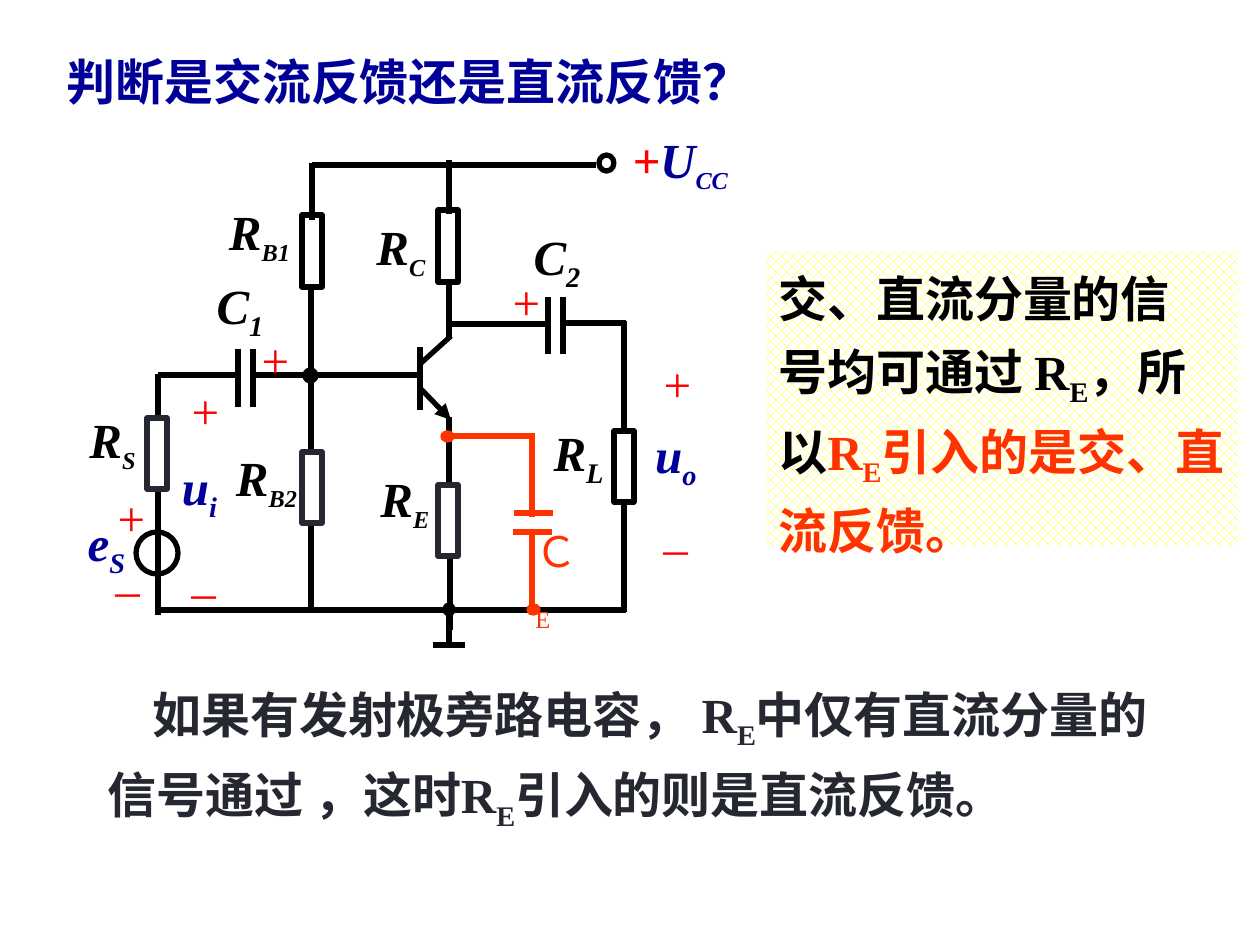
from lxml import etree
from pptx import Presentation
from pptx import util as u
from pptx.dml.color import RGBColor
from pptx.enum import dml, shapes, text
from pptx.oxml.ns import qn

BLACK = RGBColor(0, 0, 0)
SLATE = RGBColor(0x25, 0x27, 0x31)
NAVY = RGBColor(0, 0, 0x99)
RED = RGBColor(0xFF, 0, 0)
ORANGE = RGBColor(0xFF, 0x33, 0)
YELLOW = RGBColor(0xFF, 0xFF, 0)
WHITE = RGBColor(0xFF, 0xFF, 0xFF)
ROMAN, SANS = "Times New Roman", "Noto Sans CJK SC"
SUB = -25000

# Wires: x1, y1, x2, y2 in px
WIRES = [
    # Supply rail and collector branch
    (312, 165, 596, 165), (312, 220, 312, 163), (449, 214, 449, 160),
    (449, 281, 449, 339),
    # Base divider
    (311, 286, 311, 377), (311, 368, 311, 452), (311, 525, 311, 610),
    # Transistor base and collector
    (420, 347, 420, 410), (420, 364, 451, 336),
    # Emitter branch and ground
    (449, 417, 449, 483), (450, 553, 450, 630), (158, 610, 626, 610),
    (449, 611, 449, 646), (433, 645, 465, 645),
    # Input branch with C1
    (158, 375, 237, 375), (238, 349, 238, 407), (253, 349, 253, 407),
    (252, 375, 421, 375), (158, 416, 158, 374), (158, 489, 158, 615),
    # Output branch with C2
    (449, 324, 548, 324), (548, 297, 548, 354), (563, 297, 563, 354),
    (626, 323, 562, 323), (624, 321, 624, 431), (624, 499, 624, 612),
]
EMITTER = (420, 388, 451, 420)
BYPASS = [
    (444, 436, 532, 436), (532, 433, 532, 517), (532, 532, 532, 615),
    (514, 513, 553, 513), (513, 532, 552, 532),
]

# Resistors: x, y, height, colour
RES_W = 20
RESISTORS = [
    (302, 215, 72, BLACK), (438, 210, 72, BLACK), (614, 431, 71, BLACK),
    (302, 452, 71, SLATE), (438, 485, 71, SLATE), (147, 418, 71, SLATE),
]

# Circles: x, y, width, height, fill
CIRCLES = [
    (599, 155, 15, 16, None), (445, 605, 8, 9, None),
    (136, 532, 42, 42, None), (305, 370, 11, 11, BLACK),
]
DOTS = [(527, 604, 13, 11, ORANGE), (441, 431, 13, 11, ORANGE)]

# Labels: x, y, width, letter, subscript, subscript size, colour
LABEL_H = 72
LABELS = [
    (214, 198, 91, "R", "B1", 24, BLACK), (362, 213, 78, "R", "C", 24, BLACK),
    (221, 444, 91, "R", "B2", 24, BLACK), (367, 465, 76, "R", "E", 24, BLACK),
    (76, 406, 73, "R", "S", 24, BLACK), (539, 420, 79, "R", "L", 28, BLACK),
    (203, 273, 74, "C", "1", 28, BLACK), (520, 224, 74, "C", "2", 28, BLACK),
    (168, 454, 63, "u", "i", 28, NAVY), (638, 422, 76, "u", "o", 28, NAVY),
    (63, 510, 87, "e", "S", 28, NAVY),
]
SIGNS = {
    ("+", 53): [(249, 323), (500, 265), (651, 347), (179, 374), (105, 481)],
    ("–", 49): [(651, 510), (179, 554), (103, 552)],
}

# Paragraphs: runs of text, colour, baseline
NOTE = [
    [("交、直流分量的信", BLACK, 0)],
    [("号均可通过 R", BLACK, 0), ("E", BLACK, SUB), ("，所以", BLACK, 0),
     ("R", ORANGE, 0), ("E", ORANGE, SUB), ("引入的是交、直流反馈。", ORANGE, 0)],
]
CLOSE = [
    [("如果有发射极旁路电容， R", SLATE, 0), ("E", SLATE, SUB),
     ("中仅有直流分量的信号通过 ，这时R", SLATE, 0), ("E", SLATE, SUB),
     ("引入的则是直流反馈。", SLATE, 0)],
]


def px(n):
    return u.Emu(round(n * 914400 / 126))


def box(*nums):
    return [px(n) for n in nums]


def wire(group, ends, color, arrow=False):
    line = group.shapes.add_connector(shapes.MSO_CONNECTOR.STRAIGHT, *box(*ends))
    line.line.color.rgb = color
    line.line.width = u.Pt(3)
    if arrow:
        tip = etree.SubElement(line.line._get_or_add_ln(), qn("a:tailEnd"))
        tip.set("type", "triangle")
    etree.SubElement(line._element.spPr, qn("a:effectLst"))


def shape(group, kind, place, color, fill=None, width=3):
    part = group.shapes.add_shape(kind, *box(*place))
    part.shadow.inherit = False
    part.line.color.rgb = color
    part.line.width = u.Pt(width)
    if fill is None:
        part.fill.background()
    else:
        part.fill.solid()
        part.fill.fore_color.rgb = fill


def run(para, words, size, color, base=0, bold=True, ital=False, face=ROMAN):
    r = para.add_run()
    r.text = words
    font = r.font
    font.size, font.bold, font.italic, font.name = u.Pt(size), bold, ital, face
    font.color.rgb = color
    if base:
        font._element.set("baseline", str(base))
    etree.SubElement(font._element, qn("a:ea")).set("typeface", SANS)


def label(place, center=True, wrap=False, mid=True):
    frame = slide.shapes.add_textbox(*box(*place)).text_frame
    frame.word_wrap = wrap
    frame.vertical_anchor = text.MSO_ANCHOR.MIDDLE if mid else text.MSO_ANCHOR.TOP
    para = frame.paragraphs[0]
    para.alignment = text.PP_ALIGN.CENTER if center else text.PP_ALIGN.LEFT
    return para


def prose(frame, paras, indent=0):
    frame.word_wrap = True
    frame.vertical_anchor = text.MSO_ANCHOR.TOP
    for i, runs in enumerate(paras):
        para = frame.add_paragraph() if i else frame.paragraphs[0]
        para.alignment = text.PP_ALIGN.LEFT
        para.line_spacing = 1.2
        if indent:
            para._p.get_or_add_pPr().set("indent", str(px(indent)))
        for words, color, base in runs:
            run(para, words, 28, color, base)


deck = Presentation()
deck.slide_width, deck.slide_height = box(1260, 945)
slide = deck.slides.add_slide(deck.slide_layouts[6])
RECT, OVAL = shapes.MSO_SHAPE.RECTANGLE, shapes.MSO_SHAPE.OVAL

# Amplifier circuit
amp = slide.shapes.add_group_shape()
for ends in WIRES:
    wire(amp, ends, BLACK)
wire(amp, EMITTER, BLACK, arrow=True)
for x, y, h, color in RESISTORS:
    shape(amp, RECT, (x, y, RES_W, h), color)
for *place, fill in CIRCLES:
    shape(amp, OVAL, place, BLACK, fill)

# Circuit labels
for x, y, w, main, sub, size, color in LABELS:
    para = label((x, y, w, LABEL_H))
    run(para, main, 28, color, ital=True)
    run(para, sub, size, color, SUB, ital=True)
for (sign, w), spots in SIGNS.items():
    for x, y in spots:
        run(label((x, y, w, LABEL_H)), sign, 28, RED, bold=False)
para = label((620, 126, 129, LABEL_H), center=False)
run(para, "+", 28, RED, ital=True)
run(para, "U", 28, NAVY, ital=True)
run(para, "CC", 24, NAVY, SUB, ital=True)

# Title
para = label((54, 45, 914, LABEL_H), center=False, wrap=True, mid=False)
run(para, "判断是交流反馈还是直流反馈？", 28, NAVY, face=SANS)

# Patterned note
note = slide.shapes.add_shape(RECT, *box(766, 251, 473, 295))
note.shadow.inherit = False
note.line.fill.background()
note.fill.patterned()
note.fill.pattern = dml.MSO_PATTERN.from_xml("pct40")
note.fill.fore_color.rgb = YELLOW
note.fill.back_color.rgb = WHITE
prose(note.text_frame, NOTE)

# Conclusion
close = slide.shapes.add_textbox(*box(95, 665, 1081, 154))
prose(close.text_frame, CLOSE, indent=45)

# Bypass capacitor
cap = slide.shapes.add_group_shape()
for ends in BYPASS:
    wire(cap, ends, ORANGE)
for *place, fill in DOTS:
    shape(cap, OVAL, place, ORANGE, fill, 0.75)
para = label((523, 519, 73, 63), center=False, wrap=True, mid=False)
run(para, "Ｃ", 24, ORANGE, bold=False)
run(para, "E", 24, ORANGE, SUB, bold=False)

deck.save("out.pptx")
